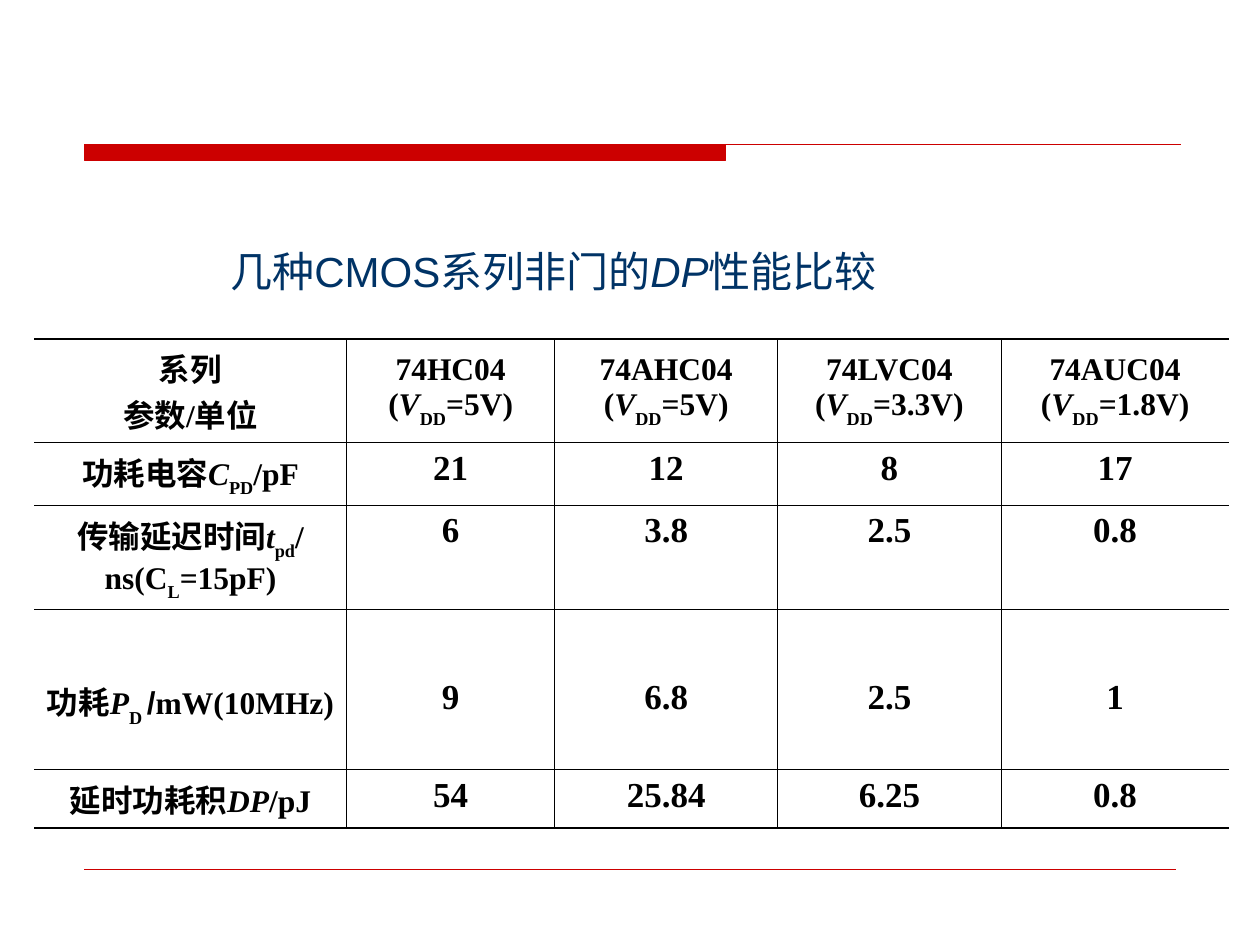
import typing
import pptx
import pptx.util
import pptx.dml.color
import pptx.enum.text
import pptx.oxml
import pptx.oxml.ns
import lxml.etree

Cm = pptx.util.Cm
Pt = pptx.util.Pt
RED, NAVY, BLACK = "CC0000", "003366", "000000"
SERIF, SANS = "Times New Roman", "Arial"


class Run(typing.NamedTuple):
    text: str
    slant: bool = False
    sub: bool = False
    font: str = SERIF


class Look(typing.NamedTuple):
    size: int
    tint: str = BLACK
    bold: bool = True


Line = list[Run]


def rgb(code: str) -> pptx.dml.color.RGBColor:
    return pptx.dml.color.RGBColor.from_string(code)


def write(para, line: Line, look: Look) -> None:
    for part in line:
        run = para.add_run()
        run.text = part.text
        font = run.font
        font.name, font.size = part.font, Pt(look.size)
        font.bold, font.italic = look.bold, part.slant
        font.color.rgb = rgb(look.tint)
        if part.sub:
            run._r.get_or_add_rPr().set("baseline", "-30000")


def edge(cell, side: str, width: float, place: int) -> None:
    """Draw one cell border; a width of zero leaves it blank."""
    name = pptx.oxml.ns.qn
    line = lxml.etree.Element(name(f"a:ln{side}"), w=str(int(Pt(width))))
    if width:
        fill = lxml.etree.SubElement(line, name("a:solidFill"))
        lxml.etree.SubElement(fill, name("a:srgbClr"), val=BLACK)
    else:
        lxml.etree.SubElement(line, name("a:noFill"))
    cell._tc.get_or_add_tcPr().insert(place, line)


def head(part: str, volt: str) -> list[Line]:
    return [[Run(part)],
            [Run("("), Run("V", slant=True), Run("DD", sub=True), Run(f"={volt}V)")]]


deck = pptx.Presentation()
deck.slide_width, deck.slide_height = Cm(25.4), Cm(19.05)
slide = deck.slides.add_slide(deck.slide_layouts[5])

# Red bar with its thin rule
LEFT, TOP = Cm(1.7), Cm(2.92)
pen = slide.shapes.build_freeform(LEFT, TOP)
pen.add_line_segments([(Cm(14.63), TOP), (Cm(14.63), Cm(3.23)), (LEFT, Cm(3.23))])
pen.move_to(LEFT, TOP)
pen.add_line_segments([(Cm(23.8), TOP)], close=False)
bar = pen.convert_to_shape()
bar.shadow.inherit = False
bar.fill.solid()
bar.fill.fore_color.rgb = rgb(RED)
bar.line.color.rgb = rgb(RED)
bar.line.width = Pt(0.74)

# Rule at the foot
rule = slide.shapes.add_connector(1, LEFT, Cm(17.53), Cm(23.7), Cm(17.53))
rule.line.color.rgb = rgb(RED)
rule.line.width = Pt(0.26)
lxml.etree.SubElement(rule._element.spPr, pptx.oxml.ns.qn("a:effectLst"))

# Title
title = slide.shapes.title
title.left, title.top, title.width, title.height = Cm(4.39), Cm(4.83), Cm(17.09), Cm(2.29)
frame = title.text_frame
frame.word_wrap = True
frame.auto_size = pptx.enum.text.MSO_AUTO_SIZE.NONE
frame.vertical_anchor = pptx.enum.text.MSO_ANCHOR.TOP
frame.paragraphs[0].alignment = pptx.enum.text.PP_ALIGN.LEFT
write(frame.paragraphs[0],
      [Run("几种CMOS系列非门的", font=SANS), Run("DP", slant=True, font=SANS),
       Run("性能比较", font=SANS)],
      Look(24, NAVY, False))

# Table content: a label, then one value per series
HEADS = [[[Run("系列")], [Run("参数/单位")]],
         head("74HC04", "5"), head("74AHC04", "5"),
         head("74LVC04", "3.3"), head("74AUC04", "1.8")]
BODY: list[tuple[Line, list[str]]] = [
    ([Run("功耗电容"), Run("C", slant=True), Run("PD", sub=True), Run("/pF")],
     ["21", "12", "8", "17"]),
    ([Run("传输延迟时间"), Run("t", slant=True), Run("pd", sub=True), Run("/ns(C"),
      Run("L", sub=True), Run("=15pF)")],
     ["6", "3.8", "2.5", "0.8"]),
    ([], [""] * 4),
    ([Run("功耗"), Run("P", slant=True), Run("D ", sub=True), Run("/", font=SANS),
      Run("mW(10MHz)")],
     ["9", "6.8", "2.5", "1"]),
    ([Run("延时功耗积"), Run("DP", slant=True), Run("/pJ")],
     ["54", "25.84", "6.25", "0.8"]),
]
ROWS = [HEADS] + [[[name]] + [[[Run(v)] if v else []] for v in vals] for name, vals in BODY]
WIDE = [6.3, 4.19, 4.5, 4.5, 4.6]
HIGH = [1.93, 1.17, 2.06, 1.27, 1.93, 1.12]
THIN, THICK = 0.45, 0.96
# Rules from top to bottom and from left to right
LEVEL = [THICK, THIN, THIN, THIN, 0, THIN, THICK]
UPRIGHT = [0, THIN, THIN, THIN, THIN, 0]

table = slide.shapes.add_table(len(HIGH), len(WIDE), Cm(0.69), Cm(6.83),
                               Cm(sum(WIDE)), Cm(sum(HIGH))).table
table.first_row = table.horz_banding = False
for col, wide in zip(table.columns, WIDE):
    col.width = Cm(wide)
for r, (row, high) in enumerate(zip(ROWS, HIGH)):
    table.rows[r].height = Cm(high)
    for c, lines in enumerate(row):
        cell = table.cell(r, c)
        cell.fill.background()
        if r == 0:
            cell.vertical_anchor = pptx.enum.text.MSO_ANCHOR.MIDDLE
        look = Look(20 if r and c else 18)
        for n, line in enumerate(lines):
            text = cell.text_frame
            para = text.add_paragraph() if n else text.paragraphs[0]
            para.alignment = pptx.enum.text.PP_ALIGN.CENTER
            write(para, line, look)
        sides = zip("LRTB", (UPRIGHT[c], UPRIGHT[c + 1], LEVEL[r], LEVEL[r + 1]))
        for place, (side, width) in enumerate(sides):
            edge(cell, side, width, place)

deck.save("out.pptx")
